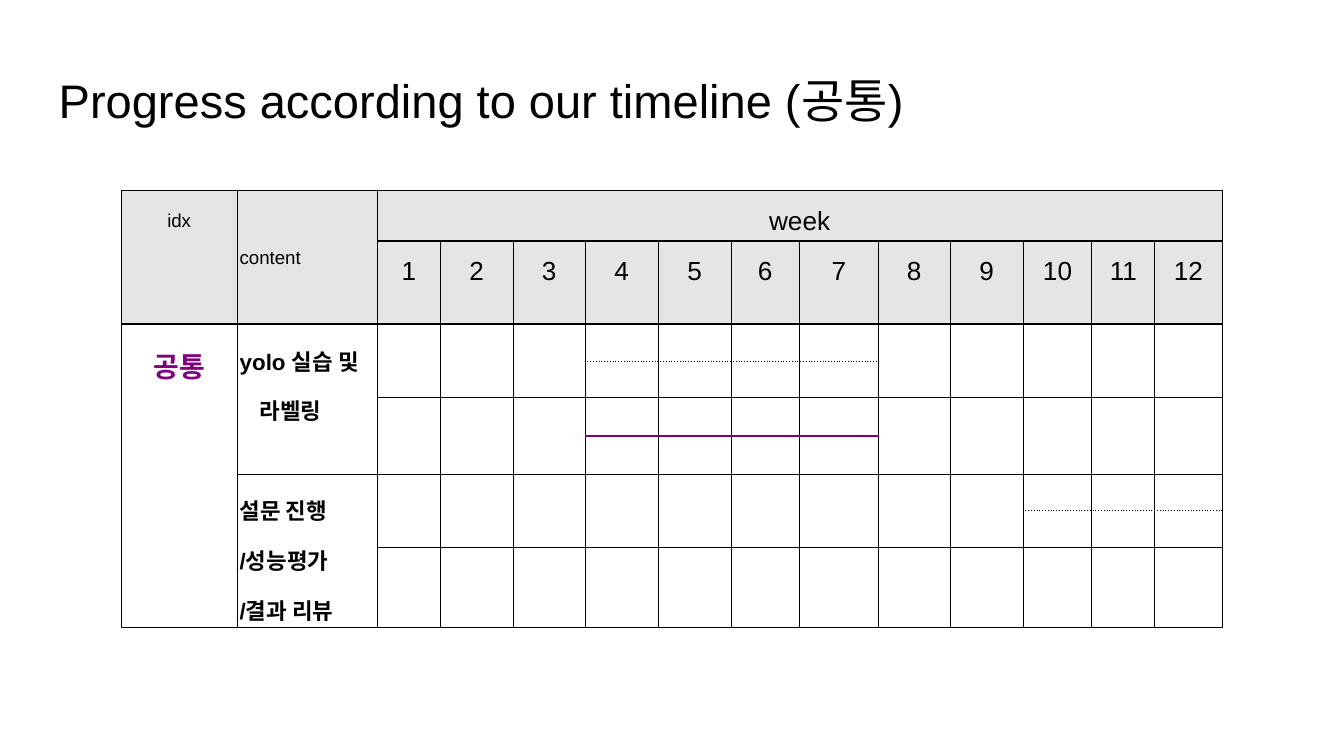
from lxml.etree import SubElement
from pptx import Presentation
from pptx.dml.color import RGBColor
from pptx.enum.text import PP_ALIGN
from pptx.oxml.ns import qn
from pptx.util import Cm, Pt

FONT = "Arial"
COLORS = {"black": "000000", "purple": "800080", "header": "E5E5E5"}
COLUMN_WIDTHS = [2.19, 2.65, 1.19, 1.38, 1.36, 1.38, 1.38,
                 1.29, 1.49, 1.36, 1.38, 1.3, 1.19, 1.27]
ROW_HEIGHTS = [0.92, 1.53, 0.7, 0.69, 0.73, 0.71, 0.68, 0.7, 1.53]
HEADER_ROWS = 2
WEEK_COLUMN = 2  # column of week 1
WEEKS = range(1, 13)

# Border styles: colour, width in points, dash
THIN = ("black", 0.6, "solid")
THICK = ("black", 1.2, "solid")
PLANNED = ("black", 0.6, "sysDot")
DONE = ("purple", 1.2, "solid")

# Upper row of each two-row track: weeks covered and the line drawn between the rows
TRACKS = {
    2: (range(4, 8), PLANNED),
    4: (range(4, 8), DONE),
    6: (range(10, 13), PLANNED),
}


def style_paragraph(para, size, color="black", bold=False, align=None, spacing=None):
    para.alignment = align
    para.line_spacing = spacing
    for span in para.runs:
        span.font.name = FONT
        span.font.size = Pt(size)
        span.font.bold = bold
        span.font.color.rgb = RGBColor.from_string(COLORS[color])


def add_title(page, text):
    box = page.shapes.add_textbox(Cm(0.86), Cm(1.24), Cm(23.67), Cm(1.6))
    frame = box.text_frame
    frame.word_wrap = True
    frame.margin_left = frame.margin_right = Cm(0.25)
    frame.margin_top = frame.margin_bottom = Cm(0.25)
    frame.text = text
    style_paragraph(frame.paragraphs[0], 25.2, spacing=0.87)


def write_cell(cell, lines, size, hanging=False, **style):
    cell.text_frame.text = "\n".join(lines)
    for para in cell.text_frame.paragraphs:
        style_paragraph(para, size, **style)
        if hanging:
            properties = para._p.get_or_add_pPr()
            properties.set("marL", str(Cm(0.38)))
            properties.set("indent", str(-Cm(0.38)))


def edge_below(row, column):
    """Return the border style of the line under a grid position."""
    if row == HEADER_ROWS - 1 or (row == 0 and column >= WEEK_COLUMN):
        return THICK
    weeks, line = TRACKS.get(row, ((), THIN))
    return line if column - WEEK_COLUMN + 1 in weeks else THIN


def set_borders(cell, top, bottom):
    properties = cell._tc.get_or_add_tcPr()
    sides = [("a:lnL", THIN), ("a:lnR", THIN), ("a:lnT", top), ("a:lnB", bottom)]
    for position, (tag, (color, width, dash)) in enumerate(sides):
        line = SubElement(properties, qn(tag), w=str(Pt(width)))
        fill = SubElement(line, qn("a:solidFill"))
        SubElement(fill, qn("a:srgbClr"), val=COLORS[color])
        SubElement(line, qn("a:prstDash"), val=dash)
        properties.insert(position, line)


def merge_cells(table):
    def merge(row, column, last_row, last_column):
        table.cell(row, column).merge(table.cell(last_row, last_column))

    last_column = len(COLUMN_WIDTHS) - 1
    merge(0, 0, 1, 0)
    merge(0, 1, 1, 1)
    merge(0, WEEK_COLUMN, 0, last_column)
    merge(2, 0, 8, 0)
    merge(2, 1, 5, 1)
    merge(6, 1, 8, 1)
    for row, (covered, _) in TRACKS.items():
        for week in WEEKS:
            if week not in covered:
                column = WEEK_COLUMN + week - 1
                merge(row, column, row + 1, column)


def format_cells(table):
    for row in range(len(ROW_HEIGHTS)):
        for column in range(len(COLUMN_WIDTHS)):
            cell = table.cell(row, column)
            cell.margin_left = cell.margin_right = Cm(0.05)
            cell.margin_top = cell.margin_bottom = Cm(0.05)
            if row < HEADER_ROWS:
                cell.fill.solid()
                cell.fill.fore_color.rgb = RGBColor.from_string(COLORS["header"])
            else:
                cell.fill.background()
            height = cell.span_height if cell.is_merge_origin else 1
            set_borders(cell, edge_below(row - 1, column),
                        edge_below(row + height - 1, column))
            # Small empty text keeps the narrow rows from growing
            end = cell.text_frame.paragraphs[0]._p.get_or_add_endParaRPr()
            end.set("sz", "800")


def fill_texts(table):
    center = PP_ALIGN.CENTER
    write_cell(table.cell(0, 0), ["idx"], 10, align=center, spacing=1.82)
    content = table.cell(0, 1)
    write_cell(content, ["content"], 10, align=PP_ALIGN.JUSTIFY, spacing=1.82)
    content.margin_top = Cm(0.75)
    write_cell(table.cell(0, WEEK_COLUMN), ["week"], 14, align=center, spacing=1.45)
    for week in WEEKS:
        write_cell(table.cell(1, WEEK_COLUMN + week - 1), [str(week)], 14,
                   align=center, spacing=1.45)
    write_cell(table.cell(2, 0), ["공통"], 15, color="purple", bold=True,
               align=center, spacing=1.45)
    tasks = {2: ["yolo 실습 및 라벨링"], 6: ["설문 진행", "/성능평가", "/결과 리뷰"]}
    for row, lines in tasks.items():
        write_cell(table.cell(row, 1), lines, 12, hanging=True, bold=True, spacing=1.53)


def add_timeline(page):
    frame = page.shapes.add_table(
        len(ROW_HEIGHTS), len(COLUMN_WIDTHS), Cm(2.29), Cm(3.6),
        Cm(sum(COLUMN_WIDTHS)), Cm(sum(ROW_HEIGHTS)))
    table = frame.table
    table.first_row = table.horz_banding = False
    for column, width in zip(table.columns, COLUMN_WIDTHS):
        column.width = Cm(width)
    for row, height in zip(table.rows, ROW_HEIGHTS):
        row.height = Cm(height)
    merge_cells(table)
    format_cells(table)
    fill_texts(table)


def main():
    deck = Presentation()
    deck.slide_width, deck.slide_height = Cm(25.4), Cm(14.29)
    page = deck.slides.add_slide(deck.slide_layouts[6])
    add_title(page, "Progress according to our timeline (공통)")
    add_timeline(page)
    deck.save("out.pptx")


if __name__ == "__main__":
    main()
